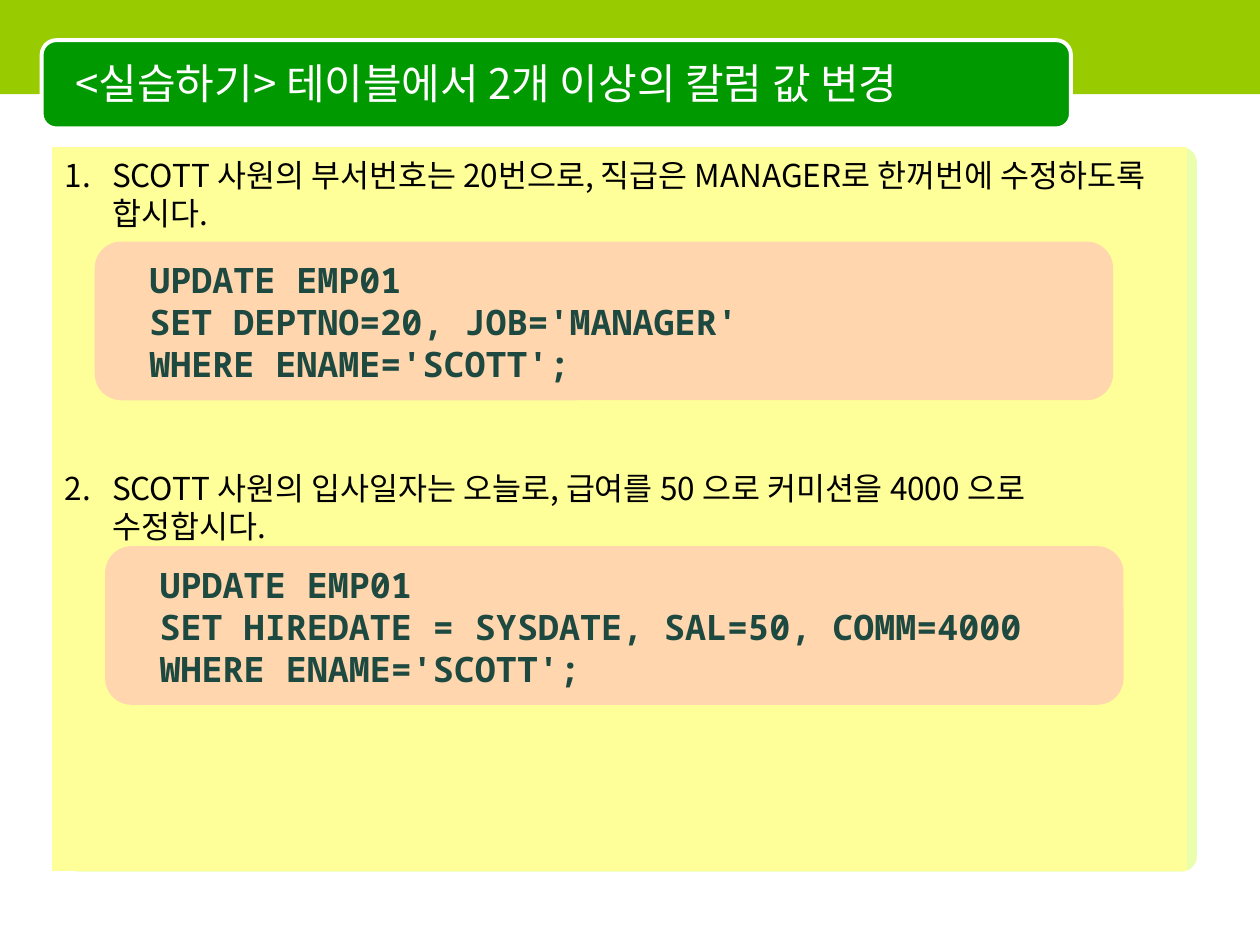
from pptx import Presentation
from pptx.dml.color import RGBColor
from pptx.enum.shapes import MSO_SHAPE as Preset
from pptx.enum.text import MSO_ANCHOR as Anchor, MSO_AUTO_SIZE as AutoSize, PP_ALIGN as Align
from pptx.oxml.ns import qn
from pptx.util import Cm, Pt
from lxml.etree import SubElement

COLORS = {
    "lime": "99CC00", "green": "009900", "white": "FFFFFF",
    "edge": "CCFF33", "panel": "FFFF99", "code_box": "FF99CC",
    "code": "1D4940", "black": "000000",
}
KOREAN, MONO = "Noto Sans CJK KR", "Noto Sans Mono"

TITLE = "<실습하기> 테이블에서 2개 이상의 칼럼 값 변경"
TASKS = [
    "SCOTT 사원의 부서번호는 20번으로, 직급은 MANAGER로 한꺼번에 수정하도록 합시다.",
    "SCOTT 사원의 입사일자는 오늘로, 급여를 50 으로 커미션을 4000 으로 수정합시다.",
]
# Left and top of each code box in cm, with its statement
STATEMENTS = [
    (1.91, 4.87, ["UPDATE EMP01", "SET DEPTNO=20, JOB='MANAGER'", "WHERE ENAME='SCOTT';"]),
    (2.12, 11.01, ["UPDATE EMP01", "SET HIREDATE = SYSDATE, SAL=50, COMM=4000",
                   "WHERE ENAME='SCOTT';"]),
]


def rgb(name):
    return RGBColor.from_string(COLORS[name])


def place(shape, left, top, width, height):
    shape.left, shape.top = Cm(left), Cm(top)
    shape.width, shape.height = Cm(width), Cm(height)


def paint(shape, color, opacity=None):
    shape.fill.solid()
    shape.fill.fore_color.rgb = rgb(color)
    if opacity is not None:
        color_element = shape.fill._xPr.find(qn("a:solidFill"))[0]
        SubElement(color_element, qn("a:alpha")).set("val", str(opacity * 1000))


def add_box(slide, preset, box, color, opacity=None, rounding=None, outline=None):
    shape = slide.shapes.add_shape(preset, *map(Cm, box))
    shape.shadow.inherit = False
    paint(shape, color, opacity)
    if rounding is not None:
        shape.adjustments[0] = rounding
    if outline:
        shape.line.color.rgb = rgb(outline)
        shape.line.width = Pt(2.25)
    else:
        shape.line.fill.background()
    return shape


def set_frame(text_frame, anchor, top_inset=0.13):
    text_frame.word_wrap = True
    text_frame.auto_size = AutoSize.NONE
    text_frame.vertical_anchor = anchor
    text_frame.margin_left = text_frame.margin_right = Cm(0.25)
    text_frame.margin_top, text_frame.margin_bottom = Cm(top_inset), Cm(0.13)


def format_paragraph(paragraph, font_name, size, color, bold=False, pitch=None):
    paragraph.alignment = Align.LEFT
    if pitch:
        paragraph.line_spacing = Pt(pitch)
    for run in paragraph.runs:
        font = run.font
        font.name, font.size, font.bold = font_name, Pt(size), bold
        font.color.rgb = rgb(color)
        SubElement(run._r.get_or_add_rPr(), qn("a:ea")).set("typeface", font_name)


def number_paragraph(paragraph):
    properties = paragraph._p.get_or_add_pPr()
    properties.set("marL", str(Cm(0.95)))
    properties.set("indent", str(-Cm(0.95)))
    SubElement(properties, qn("a:buFont")).set("typeface", KOREAN)
    SubElement(properties, qn("a:buAutoNum")).set("type", "arabicPeriod")


def bring_to_front(slide, shape):
    slide.shapes._spTree.append(shape._element)


def add_title(slide):
    title = slide.shapes.title
    place(title, 1.27, 0.89, 20.12, 1.57)
    set_frame(title.text_frame, Anchor.MIDDLE)
    title.text_frame.text = TITLE
    format_paragraph(title.text_frame.paragraphs[0], KOREAN, 24, "white")
    bring_to_front(slide, title)


def add_tasks(slide):
    body = slide.placeholders[1]
    place(body, 1.06, 2.97, 22.86, 14.58)
    paint(body, "panel")
    body.line.color.rgb = rgb("panel")
    body.line.width = Pt(0.75)
    set_frame(body.text_frame, Anchor.TOP, 0.18)
    body.text_frame.text = "\n".join(TASKS)
    for index, paragraph in enumerate(body.text_frame.paragraphs):
        number_paragraph(paragraph)
        format_paragraph(paragraph, KOREAN, 18, "black", pitch=21.7)
        # The second task starts below the first code box
        paragraph.space_before = Pt(135 * index)
    bring_to_front(slide, body)


def add_code(slide, left, top, lines):
    add_box(slide, Preset.ROUNDED_RECTANGLE, (left, top, 20.53, 3.2),
            "code_box", opacity=40, rounding=0.167)
    text_box = slide.shapes.add_textbox(Cm(left + 0.85), Cm(top + 0.17), Cm(18.85), Cm(2.8))
    set_frame(text_box.text_frame, Anchor.TOP, 0.18)
    text_box.text_frame.text = "\n".join(lines)
    for paragraph in text_box.text_frame.paragraphs:
        format_paragraph(paragraph, MONO, 20, "code", bold=True, pitch=24)


def main():
    presentation = Presentation()
    presentation.slide_width, presentation.slide_height = Cm(25.4), Cm(19.05)
    slide = presentation.slides.add_slide(presentation.slide_layouts[1])

    # Backdrop: panel edge, top band and title plate
    add_box(slide, Preset.ROUNDED_RECTANGLE, (1.27, 2.97, 22.86, 14.6),
            "edge", opacity=40, rounding=0.021)
    add_box(slide, Preset.RECTANGLE, (0, 0, 25.4, 1.9), "lime")
    add_box(slide, Preset.ROUNDED_RECTANGLE, (0.84, 0.81, 20.75, 1.78),
            "green", rounding=0.167, outline="white")

    # Title, tasks and their statements
    add_title(slide)
    add_tasks(slide)
    for left, top, lines in STATEMENTS:
        add_code(slide, left, top, lines)

    presentation.save("out.pptx")


if __name__ == "__main__":
    main()
